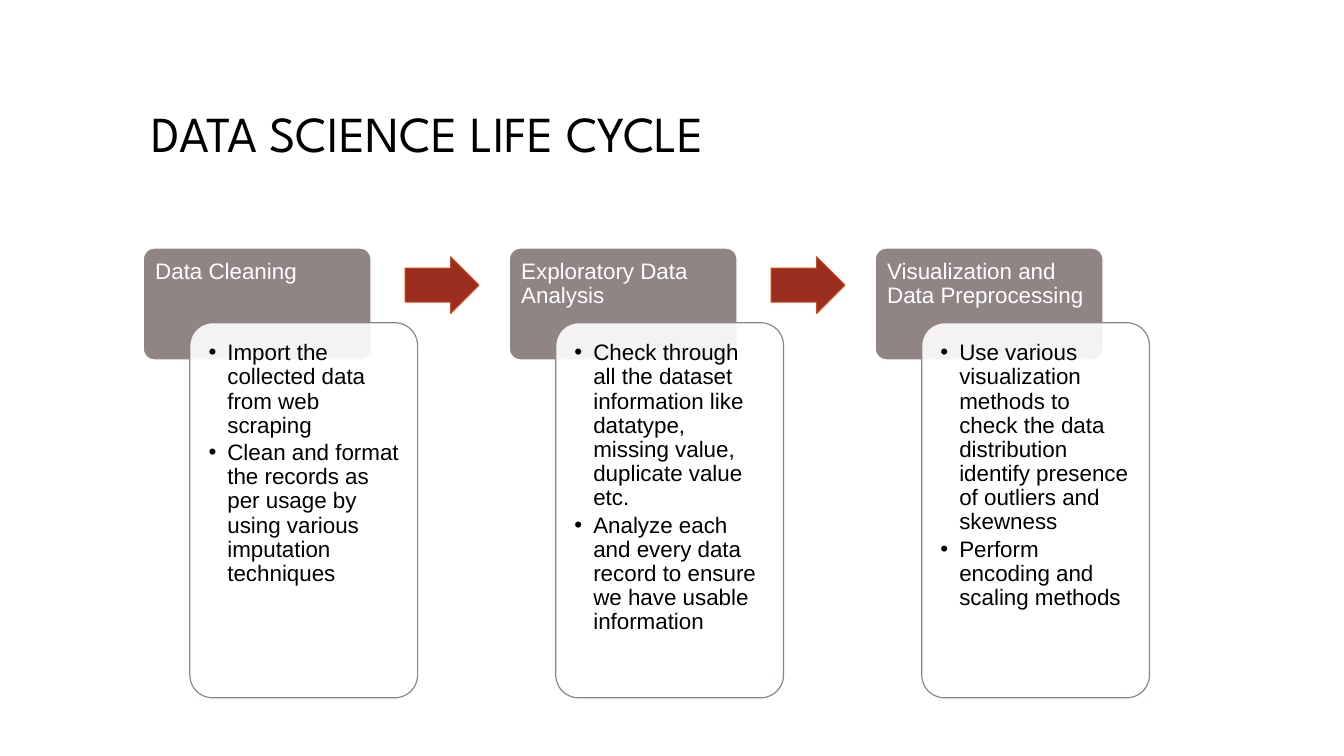
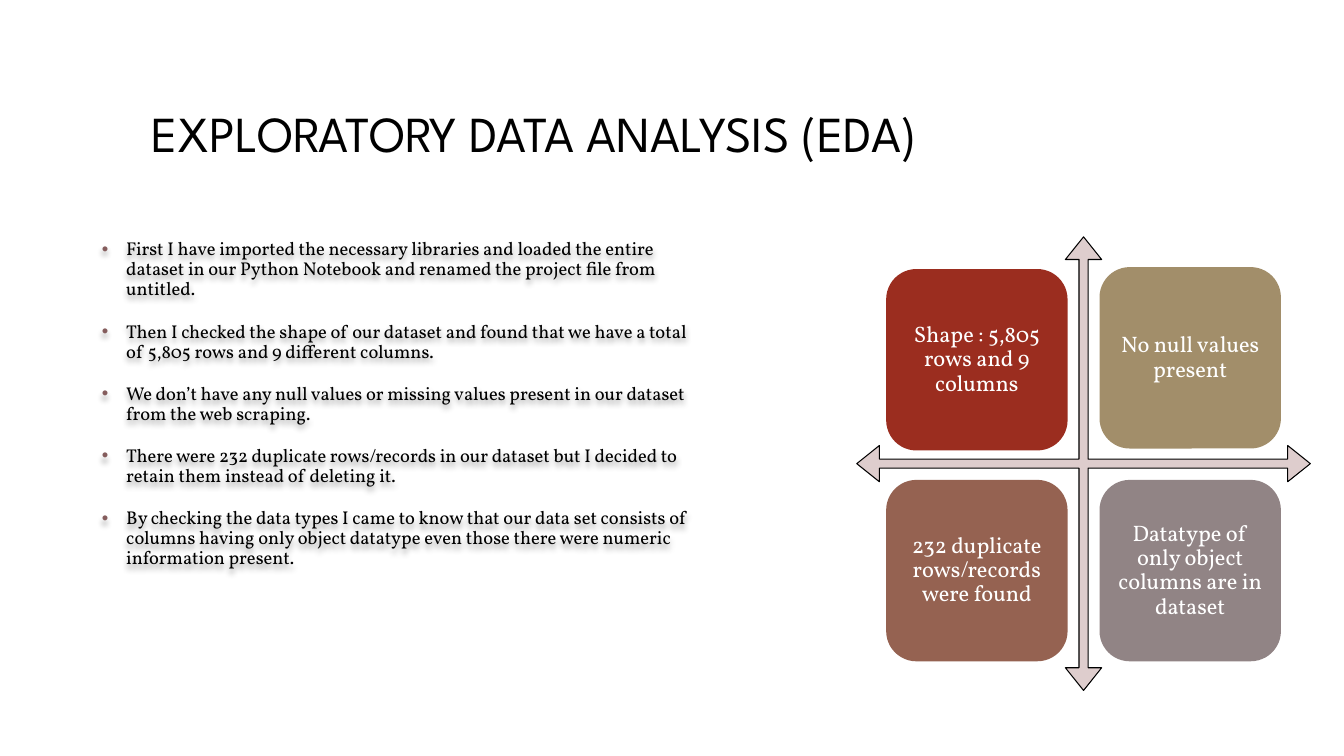
import lxml.etree
import pptx
import pptx.dml.color
import pptx.enum.shapes
import pptx.enum.text
import pptx.oxml
import pptx.oxml.ns
import pptx.util

Pt = pptx.util.Pt
RGBColor = pptx.dml.color.RGBColor
SHAPE = pptx.enum.shapes.MSO_SHAPE
ANCHOR = pptx.enum.text.MSO_ANCHOR
ALIGN = pptx.enum.text.PP_ALIGN

BLACK = RGBColor(0x00, 0x00, 0x00)
WHITE = RGBColor(0xFF, 0xFF, 0xFF)
TAUPE = RGBColor(0x91, 0x84, 0x85)
RED = RGBColor(0x9B, 0x2D, 0x1F)
ORANGE = RGBColor(0xD3, 0x48, 0x17)
SAND = RGBColor(0xA2, 0x8E, 0x6A)
BROWN = RGBColor(0x95, 0x62, 0x51)
BLUSH = RGBColor(0xDE, 0xCD, 0xCD)
MAUVE = RGBColor(0x85, 0x5D, 0x5D)

TITLE_FONT = {"name": "League Spartan", "size": Pt(36)}
STEP_FONT = {"name": "Arial", "size": Pt(16)}
TILE_FONT = {"name": "Vollkorn", "size": Pt(16)}
NOTE_FONT = {"name": "Vollkorn", "size": Pt(13.2)}

STEPS = [
    ("Data Cleaning", [
        "Import the collected data from web scraping",
        "Clean and format the records as per usage by using various imputation techniques",
    ]),
    ("Exploratory Data Analysis", [
        "Check through all the dataset information like datatype, missing value, duplicate value etc.",
        "Analyze each and every data record to ensure we have usable information",
    ]),
    ("Visualization and Data Preprocessing", [
        "Use various visualization methods to check the data distribution identify presence of outliers and skewness",
        "Perform encoding and scaling methods",
    ]),
]
NOTES = [
    "First I have imported the necessary libraries and loaded the entire dataset in our Python Notebook and renamed the project file from untitled.",
    "Then I checked the shape of our dataset and found that we have a total of 5,805 rows and 9 different columns.",
    "We don’t have any null values or missing values present in our dataset from the web scraping.",
    "There were 232 duplicate rows/records in our dataset but I decided to retain them instead of deleting it.",
    "By checking the data types I came to know that our data set consists of columns having only object datatype even those there were numeric information present.",
]
TILES = [
    (633, 192.2, RED, "Shape : 5,805 rows and 9 columns"),
    (785.4, 190.8, SAND, "No\u00a0null values present"),
    (633, 342.8, BROWN, "232 duplicate rows/records were found"),
    (785.4, 342.8, TAUPE, "Datatype of only object columns are in dataset"),
]


def set_attributes(target, values):
    for name, value in values.items():
        setattr(target, name, value)


def add_xml(parent, xml):
    namespace = pptx.oxml.ns.nsdecls("a")
    parent.append(pptx.oxml.parse_xml(xml.replace(" ", f" {namespace} ", 1)))


def add_bullet(paragraph, indent, color):
    properties = paragraph._p.get_or_add_pPr()
    properties.set("marL", str(Pt(indent)))
    properties.set("indent", str(-Pt(indent)))
    add_xml(properties, f'<a:buClr ><a:srgbClr val="{color}"/></a:buClr>')
    add_xml(properties, '<a:buFont typeface="Arial"/>')
    add_xml(properties, '<a:buChar char="•"/>')


def write_text(shape, texts, font, color, insets, anchor=ANCHOR.TOP,
               paragraph_format=None, bullet=None):
    left, top, right, bottom = (Pt(inset) for inset in insets)
    frame = shape.text_frame
    set_attributes(frame, {
        "word_wrap": True, "vertical_anchor": anchor,
        "margin_left": left, "margin_top": top,
        "margin_right": right, "margin_bottom": bottom,
    })
    for index, text in enumerate(texts):
        paragraph = frame.add_paragraph() if index else frame.paragraphs[0]
        set_attributes(paragraph, {
            "alignment": ALIGN.LEFT, "line_spacing": 0.9, **(paragraph_format or {}),
        })
        if bullet:
            add_bullet(paragraph, *bullet)
        run = paragraph.add_run()
        run.text = text
        set_attributes(run.font, font)
        run.font.color.rgb = color


def add_panel(slide, kind, box, fill, line=None, width=0.85, adjustments=(), opacity=None):
    shape = slide.shapes.add_shape(kind, *(Pt(length) for length in box))
    shape.shadow.inherit = False
    for index, value in enumerate(adjustments):
        shape.adjustments[index] = value
    shape.fill.solid()
    shape.fill.fore_color.rgb = fill
    if opacity:
        color = shape._element.spPr.find(".//" + pptx.oxml.ns.qn("a:srgbClr"))
        add_xml(color, f'<a:alpha val="{opacity * 1000}"/>')
    if line is None:
        shape.line.fill.background()
    else:
        shape.line.color.rgb = line
        shape.line.width = Pt(width)
    return shape


def add_text_box(slide, box):
    return slide.shapes.add_textbox(*(Pt(length) for length in box))


def add_titled_slide(presentation, title):
    slide = presentation.slides.add_slide(presentation.slide_layouts[6])
    write_text(add_text_box(slide, (101.5, 30, 756, 90)), [title], TITLE_FONT,
               BLACK, (7.2, 3.6, 7.2, 3.6), ANCHOR.BOTTOM)
    return slide


def add_step(slide, left, heading, points):
    header = add_panel(slide, SHAPE.ROUNDED_RECTANGLE, (left, 177.2, 162.7, 79.9),
                       TAUPE, WHITE, adjustments=[0.1])
    write_text(header, [heading], STEP_FONT, WHITE, (6.2, 6.2, 6.2, 3))
    card = add_panel(slide, SHAPE.ROUNDED_RECTANGLE, (left + 33.2, 230.5, 162.7, 267.9),
                     WHITE, TAUPE, adjustments=[0.1], opacity=90)
    write_text(card, points, STEP_FONT, BLACK, (8.6,) * 4,
               paragraph_format={"space_after": Pt(2.2)}, bullet=(13.5, BLACK))


def add_step_arrow(slide, left):
    add_panel(slide, SHAPE.RIGHT_ARROW, (left, 183.4, 52.8, 40.6), RED, ORANGE,
              0.75, [0.6, 0.5])


def add_tile(slide, left, top, fill, text):
    tile = add_panel(slide, SHAPE.ROUNDED_RECTANGLE, (left, top, 129.6, 129.6), fill)
    write_text(tile, [text], TILE_FONT, WHITE, (5,) * 4, ANCHOR.MIDDLE,
               {"alignment": ALIGN.CENTER})


def add_notes_list(slide):
    notes = add_text_box(slide, (65.6, 167.8, 438.5, 326.9))
    write_text(notes, NOTES, NOTE_FONT, BLACK, (7.2, 3.6, 7.2, 3.6),
               paragraph_format={"space_before": Pt(16)}, bullet=(17.5, MAUVE))
    add_xml(notes._element.spPr,
            f'<a:effectLst ><a:outerShdw blurRad="{Pt(4)}" dist="{Pt(3)}" dir="5400000">'
            '<a:srgbClr val="000000"><a:alpha val="40000"/></a:srgbClr>'
            '</a:outerShdw></a:effectLst>')


def build_life_cycle(presentation):
    slide = add_titled_slide(presentation, "DATA SCIENCE LIFE CYCLE")
    for index, (heading, points) in enumerate(STEPS):
        left = 102.4 + index * 261.4
        add_step(slide, left, heading, points)
        if index < len(STEPS) - 1:
            add_step_arrow(slide, left + 187)


def build_exploration(presentation):
    slide = add_titled_slide(presentation, "EXPLORATORY DATA ANALYSIS (EDA)")
    add_panel(slide, SHAPE.QUAD_ARROW, (612, 169.2, 324, 324), BLUSH, BLACK,
              0.75, [0.02, 0.04, 0.05])
    for tile in TILES:
        add_tile(slide, *tile)
    add_notes_list(slide)


def main():
    presentation = pptx.Presentation()
    set_attributes(presentation, {"slide_width": Pt(960), "slide_height": Pt(540)})
    build_life_cycle(presentation)
    build_exploration(presentation)
    presentation.save("out.pptx")


if __name__ == "__main__":
    main()
